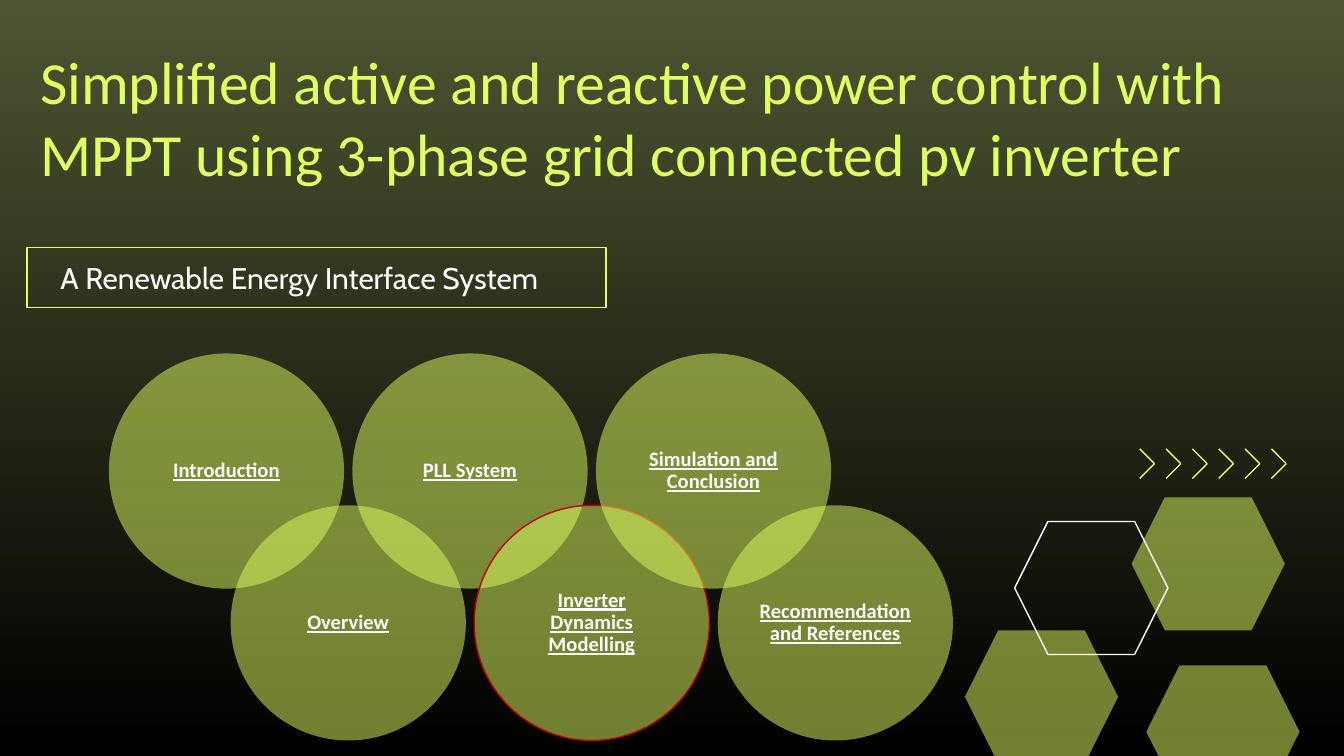
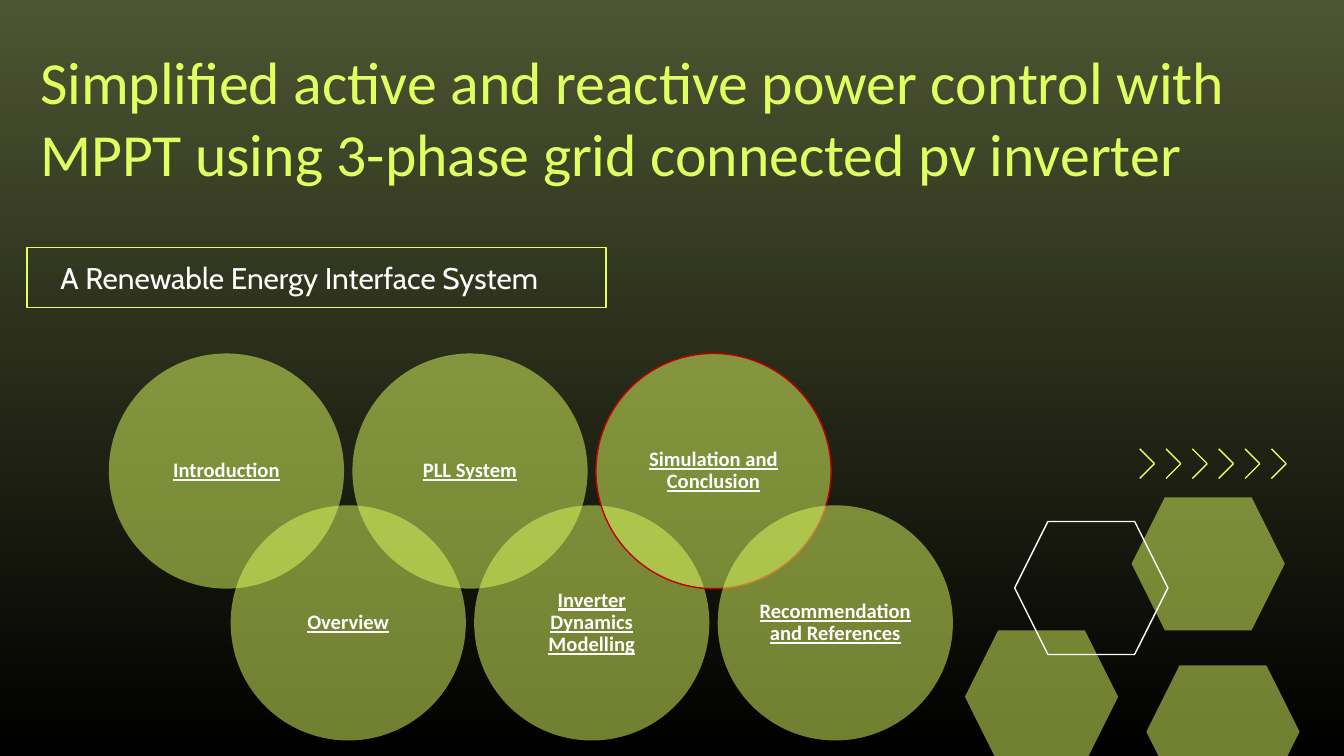
from lxml.etree import SubElement
from pptx import Presentation
from pptx.dml.color import RGBColor
from pptx.enum.shapes import MSO_CONNECTOR, MSO_SHAPE
from pptx.enum.text import MSO_ANCHOR, PP_ALIGN
from pptx.oxml.ns import qn
from pptx.util import Inches, Pt

LIME, WHITE, BLACK, RED = "E0FF61", "FFFFFF", "000000", "C00000"
MOSS = "ABBB6D"

# Widescreen page, 16:9
PAGE_WIDTH = 10
PAGE_HEIGHT = PAGE_WIDTH * 9 / 16

TITLE = ("Simplified active and reactive power control with "
         "MPPT using 3-phase grid connected pv inverter")
SUBTITLE = "A Renewable Energy Interface System"
TOPICS = ["Introduction", "Overview", "PLL System", "Inverter Dynamics Modelling",
          "Simulation and Conclusion", "Recommendation and References"]
HIGHLIGHTED_TOPICS = ["Inverter Dynamics Modelling", "Simulation and Conclusion"]

# Left, top, fill, outline
HEXAGONS = [(8.53, 4.95, LIME, None), (8.42, 3.7, LIME, None),
            (7.18, 4.69, LIME, None), (7.55, 3.88, None, WHITE)]

CIRCLE_SIZE, LABEL_SIZE = 1.75, 1.23
CIRCLE_STEP = (5.34 - 0.81) / 5
CHEVRON_STEP = (9.46 - 8.48) / 5


def add_panel(slide, preset, left, top, width, height, fill=None, opacity=50, outline=None):
    panel = slide.shapes.add_shape(preset, Inches(left), Inches(top),
                                   Inches(width), Inches(height))
    panel.shadow.inherit = False
    if fill:
        panel.fill.solid()
        panel.fill.fore_color.rgb = RGBColor.from_string(fill)
        tint = panel.fill._xPr.find(".//" + qn("a:srgbClr"))
        SubElement(tint, qn("a:alpha")).set("val", str(opacity * 1000))
    else:
        panel.fill.background()
    if outline:
        panel.line.color.rgb = RGBColor.from_string(outline)
        panel.line.width = Pt(0.75)
    else:
        panel.line.fill.background()
    return panel


def write(holder, text, size, font, color, anchor, margin=0.1, align=PP_ALIGN.LEFT):
    frame = holder.text_frame
    frame.word_wrap = True
    frame.vertical_anchor = anchor
    frame.margin_left = frame.margin_right = Inches(margin)
    frame.margin_top = frame.margin_bottom = Inches(margin)
    paragraph = frame.paragraphs[0]
    paragraph.alignment = align
    run = paragraph.add_run()
    run.text = text
    run.font.size = Pt(size)
    run.font.name = font
    run.font.color.rgb = RGBColor.from_string(color)
    return paragraph


prs = Presentation()
prs.slide_width, prs.slide_height = Inches(PAGE_WIDTH), Inches(PAGE_HEIGHT)

for highlighted in HIGHLIGHTED_TOPICS:
    slide = prs.slides.add_slide(prs.slide_layouts[6])

    # Background gradient, dimmed by a dark veil
    backdrop = slide.background.fill
    backdrop.gradient()
    backdrop.gradient_angle = 270
    for stop, color, position in zip(backdrop.gradient_stops, (MOSS, BLACK), (0, 1)):
        stop.color.rgb = RGBColor.from_string(color)
        stop.position = position
    add_panel(slide, MSO_SHAPE.RECTANGLE, 0, 0, PAGE_WIDTH, PAGE_HEIGHT,
              fill=BLACK, opacity=54)

    # Hexagons in the corner
    for left, top, fill, outline in HEXAGONS:
        add_panel(slide, MSO_SHAPE.HEXAGON, left, top, 1.14, 0.99, fill=fill, outline=outline)

    # Title
    title = slide.shapes.add_textbox(Inches(0.2), Inches(0.12), Inches(9.59), Inches(1.38))
    write(title, TITLE, 32, "Calibri", LIME, MSO_ANCHOR.BOTTOM)

    # Overlapping topic circles in two staggered rows
    for index, topic in enumerate(TOPICS):
        left = 0.81 + index * CIRCLE_STEP
        top = 3.76 if index % 2 else 2.63
        add_panel(slide, MSO_SHAPE.OVAL, left, top, CIRCLE_SIZE, CIRCLE_SIZE, fill=LIME,
                  outline=RED if topic == highlighted else None)
        inset = (CIRCLE_SIZE - LABEL_SIZE) / 2
        label = slide.shapes.add_textbox(Inches(left + inset), Inches(top + inset),
                                         Inches(LABEL_SIZE), Inches(LABEL_SIZE))
        caption = write(label, topic, 11, "Calibri", WHITE, MSO_ANCHOR.MIDDLE,
                        margin=0.05, align=PP_ALIGN.CENTER)
        caption.line_spacing = 0.9
        caption.space_after = Pt(3.85)
        caption.runs[0].font.bold = True
        caption.runs[0].font.underline = True

    # Row of chevrons, each made of two strokes meeting at the tip
    for index in range(6):
        left = 8.48 + index * CHEVRON_STEP
        for start in (3.34, 3.56):
            stroke = slide.shapes.add_connector(
                MSO_CONNECTOR.STRAIGHT, Inches(left), Inches(start),
                Inches(left + 0.11), Inches(3.45))
            stroke.line.color.rgb = RGBColor.from_string(LIME)
            stroke.line.width = Pt(0.75)
            SubElement(stroke._element.spPr, qn("a:effectLst"))

    # Subtitle in its frame
    subtitle = add_panel(slide, MSO_SHAPE.RECTANGLE, 0.2, 1.84, 4.31, 0.45, outline=LIME)
    tagline = write(subtitle, SUBTITLE, 16, "Cabin", WHITE, MSO_ANCHOR.MIDDLE)
    indents = tagline._p.get_or_add_pPr()
    indents.set("marL", str(Inches(0.5)))
    indents.set("indent", str(Inches(-0.35)))

prs.save("out.pptx")
